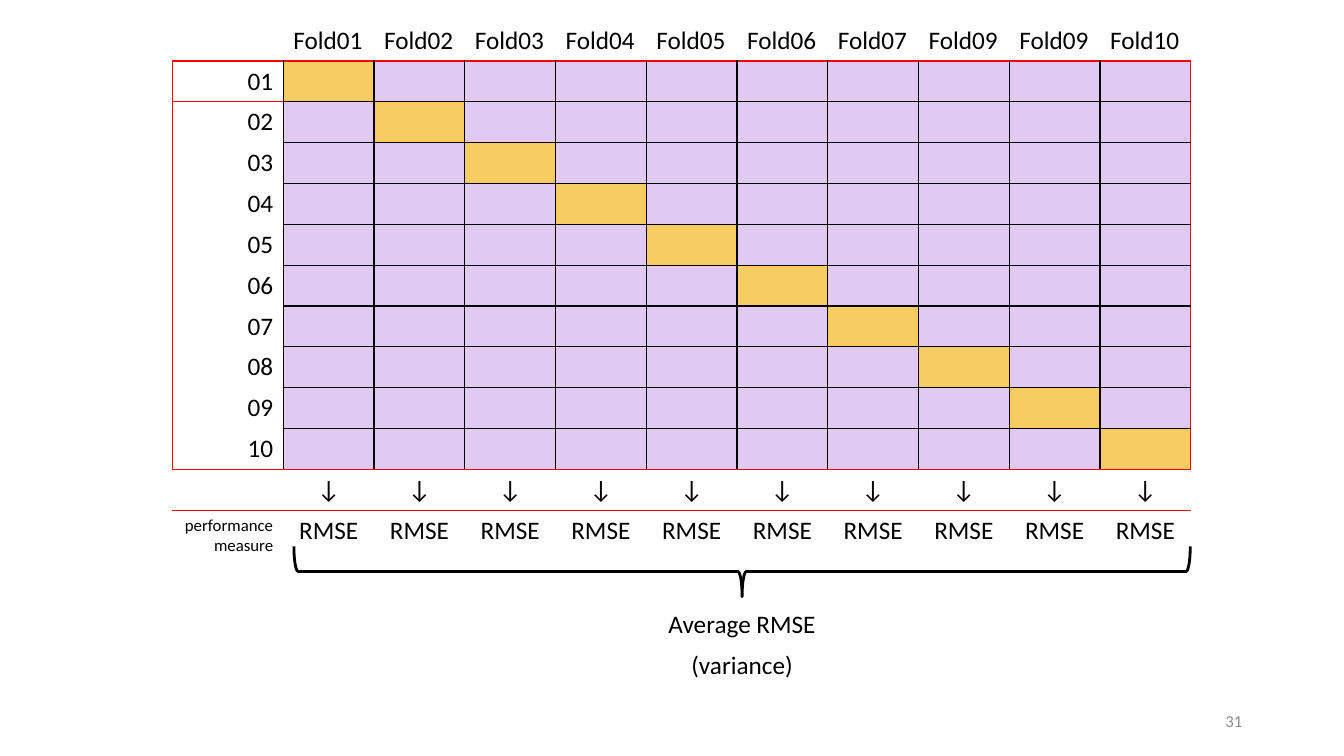
from lxml import etree
from pptx import Presentation
from pptx.dml.color import RGBColor
from pptx.enum.shapes import MSO_SHAPE
from pptx.enum.text import MSO_ANCHOR, PP_ALIGN
from pptx.oxml.ns import qn
from pptx.util import Inches, Pt

LEFT, CENTER, RIGHT = PP_ALIGN.LEFT, PP_ALIGN.CENTER, PP_ALIGN.RIGHT
TOP, MIDDLE = MSO_ANCHOR.TOP, MSO_ANCHOR.MIDDLE
BRACE = MSO_SHAPE.RIGHT_BRACE

BLACK = RGBColor(0x00, 0x00, 0x00)
RED = RGBColor(0xFF, 0x00, 0x00)
GRAY = RGBColor(0x8C, 0x8C, 0x8C)
TRAINING = RGBColor(0xE0, 0xCA, 0xF2)
HELD_OUT = RGBColor(0xF7, 0xCD, 0x63)
FONT = "Calibri"
NO_TABLE_STYLE = "{2D5ABB26-0587-4C30-8999-92F81FD0307C}"

# Content
FOLDS = ["Fold01", "Fold02", "Fold03", "Fold04", "Fold05",
         "Fold06", "Fold07", "Fold09", "Fold09", "Fold10"]
COUNT = len(FOLDS)
BLOCKS = [f"{number:02d}" for number in range(1, COUNT + 1)]
MEASURE_LABEL = ["performance", "measure"]
SUMMARY = ["Average RMSE", "(variance)"]
SLIDE_NUMBER = "31"

# Layout in inches
TABLE_LEFT, TABLE_TOP = 1.71, 0.2
LABEL_WIDTH, FOLD_WIDTH = 1.1, 0.9
ROWS, COLUMNS = COUNT + 3, COUNT + 1
ROW_HEIGHT = 5.27 / ROWS
ARROW_ROW, MEASURE_ROW = COUNT + 1, COUNT + 2
BRACE_CENTER, BRACE_TOP, BRACE_SPAN, BRACE_DEPTH = 7.36, 5.42, 8.89, 0.5
SUMMARY_TOP, SUMMARY_WIDTH, LINE_HEIGHT = 5.99, 1.83, 0.4


def write(frame, lines, size=18, color=BLACK, align=LEFT):
    """Put one paragraph per line into a text frame."""
    for index, line in enumerate(lines):
        paragraph = frame.paragraphs[0] if index == 0 else frame.add_paragraph()
        paragraph.alignment = align
        run = paragraph.add_run()
        run.text = line
        run.font.color.rgb = color
        for name, value in {"name": FONT, "size": Pt(size)}.items():
            setattr(run.font, name, value)


def add_text(slide, text, left, top, width, anchor=TOP, **style):
    """Add a one-line text box."""
    box = slide.shapes.add_textbox(Inches(left), Inches(top),
                                   Inches(width), Inches(LINE_HEIGHT))
    box.text_frame.word_wrap = True
    box.text_frame.vertical_anchor = anchor
    write(box.text_frame, [text], **style)


def set_borders(cell, colors):
    """Draw one-point borders on the sides named in colors."""
    properties = cell._tc.get_or_add_tcPr()
    sides = [side for side in "LRTB" if side in colors]
    for position, side in enumerate(sides):
        line = etree.Element(qn(f"a:ln{side}"), w=str(Pt(1)))
        fill = etree.SubElement(line, qn("a:solidFill"))
        etree.SubElement(fill, qn("a:srgbClr"), val=str(colors[side]))
        properties.insert(position, line)


def cell_content(row, column):
    """Return the lines, size and alignment of a table cell."""
    if column == 0:
        if row == MEASURE_ROW:
            return MEASURE_LABEL, 12, RIGHT
        return (BLOCKS[row - 1:row] if 1 <= row <= COUNT else []), 18, RIGHT
    if row == 0:
        return [FOLDS[column - 1]], 18, LEFT
    return {ARROW_ROW: ["↓"], MEASURE_ROW: ["RMSE"]}.get(row, []), 18, CENTER


def cell_borders(row, column):
    """Return side colours: red around the block grid, black inside it."""
    if row == 0:
        return {"B": RED}
    if row > COUNT:
        return {"T": RED} if row == ARROW_ROW else {}
    colors = {"L": RED if column == 0 else BLACK,
              "R": RED if column == COUNT else BLACK}
    if column > 0 or row == 1:
        colors["T"] = RED if row == 1 else BLACK
    if column > 0 or row == COUNT:
        colors["B"] = RED if row == COUNT else BLACK
    return colors


def add_fold_table(slide):
    """Add the cross-validation table with held-out blocks on the diagonal."""
    width = LABEL_WIDTH + COUNT * FOLD_WIDTH
    table = slide.shapes.add_table(
        ROWS, COLUMNS, Inches(TABLE_LEFT), Inches(TABLE_TOP),
        Inches(width), Inches(ROWS * ROW_HEIGHT)).table
    table.first_row = table.horz_banding = False
    table._tbl.tblPr.find(qn("a:tableStyleId")).text = NO_TABLE_STYLE
    for index, column in enumerate(table.columns):
        column.width = Inches(FOLD_WIDTH if index else LABEL_WIDTH)
    for row in range(ROWS):
        table.rows[row].height = Inches(ROW_HEIGHT)
        for column in range(COLUMNS):
            cell = table.cell(row, column)
            lines, size, align = cell_content(row, column)
            write(cell.text_frame, lines, size=size, align=align)
            if column and 1 <= row <= COUNT:
                cell.fill.solid()
                cell.fill.fore_color.rgb = HELD_OUT if row == column else TRAINING
            else:
                cell.fill.background()
            set_borders(cell, cell_borders(row, column))


def add_brace(slide):
    """Add the brace that gathers all measures, turned to point down."""
    middle = BRACE_TOP + BRACE_DEPTH / 2
    brace = slide.shapes.add_shape(
        BRACE, Inches(BRACE_CENTER - BRACE_DEPTH / 2),
        Inches(middle - BRACE_SPAN / 2), Inches(BRACE_DEPTH), Inches(BRACE_SPAN))
    brace.rotation = 90
    brace.shadow.inherit = False
    brace.fill.background()
    brace.line.color.rgb = BLACK
    brace.line.width = Pt(2)


presentation = Presentation()
presentation.slide_width, presentation.slide_height = Inches(13.33), Inches(7.5)
slide = presentation.slides.add_slide(presentation.slide_layouts[6])
add_text(slide, SLIDE_NUMBER, 9.42, 6.95, 3, anchor=MIDDLE,
         size=12, color=GRAY, align=RIGHT)
add_fold_table(slide)
add_brace(slide)
for index, text in enumerate(SUMMARY):
    add_text(slide, text, BRACE_CENTER - SUMMARY_WIDTH / 2,
             SUMMARY_TOP + index * LINE_HEIGHT, SUMMARY_WIDTH, align=CENTER)
presentation.save("out.pptx")
